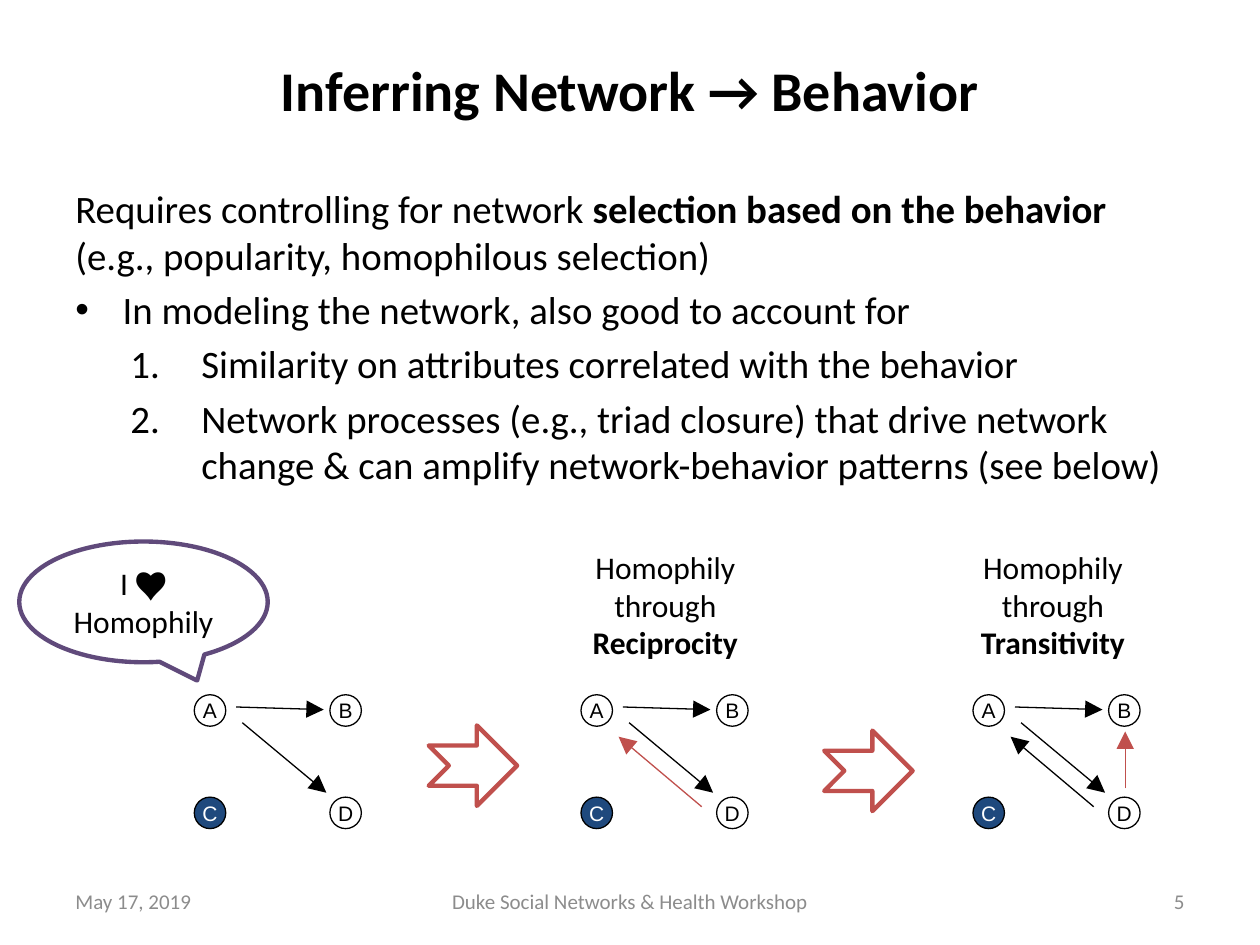
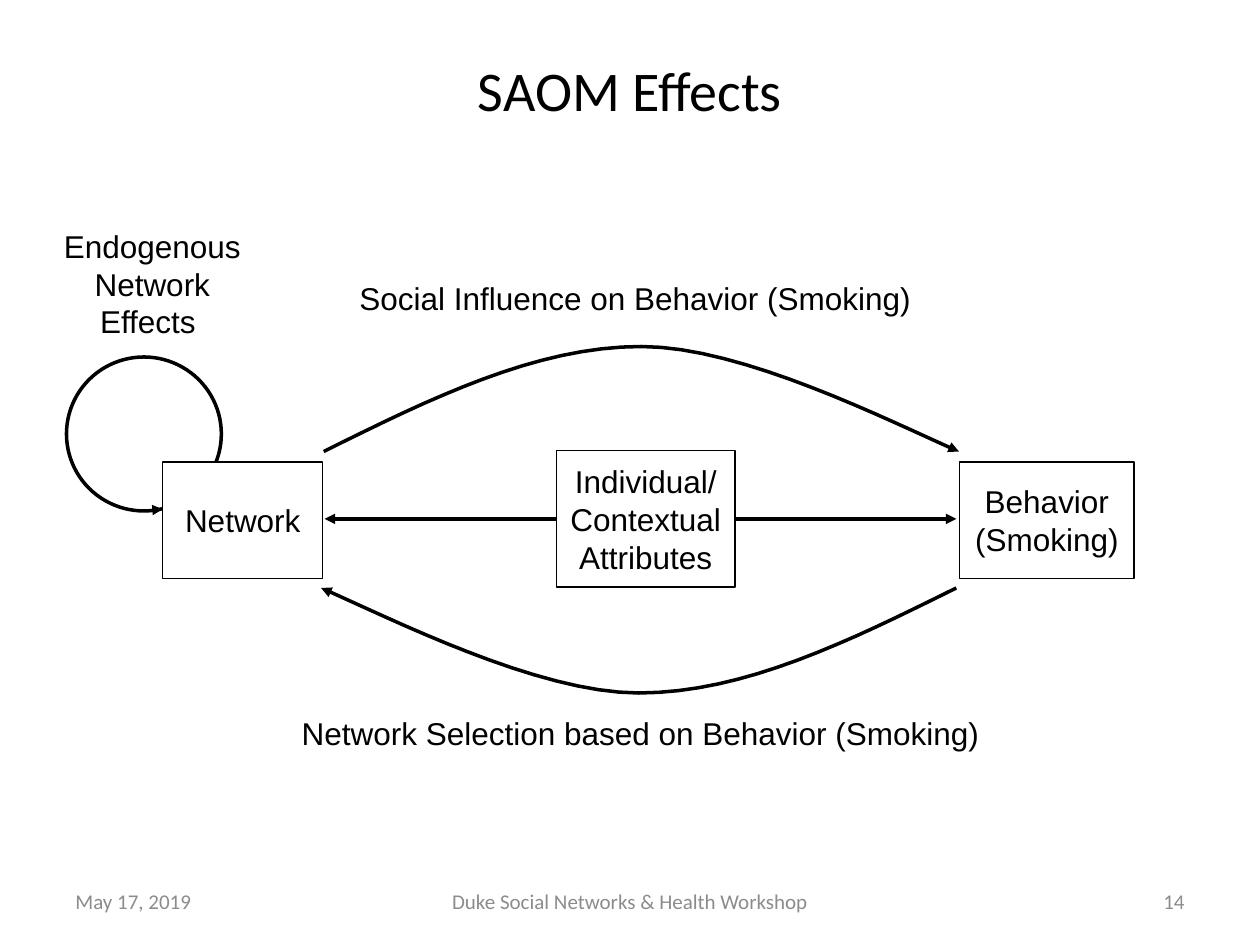
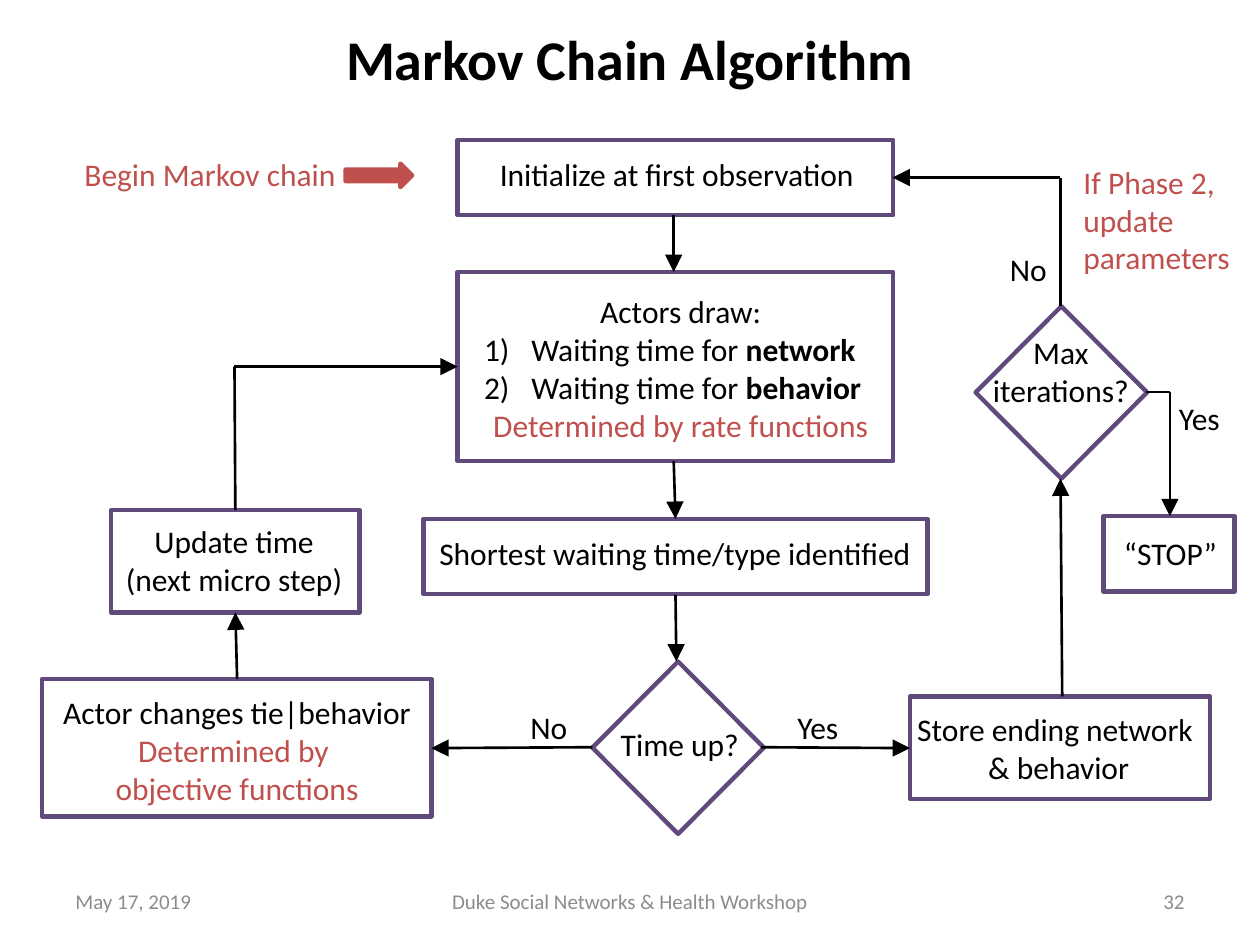
from dataclasses import dataclass

from lxml.etree import SubElement
from pptx import Presentation
from pptx.dml.color import RGBColor
from pptx.enum.shapes import MSO_CONNECTOR, MSO_SHAPE
from pptx.enum.text import MSO_ANCHOR, PP_ALIGN
from pptx.oxml.ns import qn
from pptx.util import Pt

COLORS = {
    "black": "000000",
    "white": "FFFFFF",
    "gray": "8C8C8C",
    "red": "C0504D",
    "purple": "604A7B",
    "navy": "1F497D",
}
LEFT, CENTER, RIGHT = PP_ALIGN.LEFT, PP_ALIGN.CENTER, PP_ALIGN.RIGHT
TITLE_SIZE, LABEL_SIZE, SMALL_SIZE, BODY_SIZE = 32, 18, 12, 22.2
THIN, FLOW, THICK, OUTLINE = 0.75, 1.5, 2, 2.5
DATE = "May 17, 2019"
EVENT = "Duke Social Networks & Health Workshop"


@dataclass
class Box:
    left: float
    top: float
    width: float = 0
    height: float = 0

    def inner(self, left, top, width=0, height=0):
        """Box given relative to this one's top left corner."""
        return Box(self.left + left, self.top + top, width, height)

    def point(self, spot):
        return self.left + spot[0], self.top + spot[1]

    def emu(self):
        return [Pt(n) for n in (self.left, self.top, self.width, self.height)]


@dataclass
class Run:
    text: str
    bold: bool = False
    color: str = ""


@dataclass
class Para:
    runs: list
    align: object = None
    numbering: str = ""
    bullet: str = ""
    margin: float = 0
    hang: float = 0
    level: int = 0
    before: float = 0


def rgb(name):
    return RGBColor.from_string(COLORS[name])


def format_paragraph(paragraph, para, align):
    paragraph.alignment = para.align or align
    paragraph.level = para.level
    if para.before:
        paragraph.space_before = Pt(para.before)
    if para.margin:
        props = paragraph._p.get_or_add_pPr()
        props.set("marL", str(Pt(para.margin)))
        props.set("indent", str(Pt(-para.hang)))
        if para.numbering:
            SubElement(props, qn("a:buFont"), typeface="+mj-lt")
            SubElement(props, qn("a:buAutoNum"), type=para.numbering)
        else:
            SubElement(props, qn("a:buFont"), typeface="Arial")
            SubElement(props, qn("a:buChar"), char=para.bullet)


def write(shape, paras, size=LABEL_SIZE, font="Calibri", color="black",
          align=CENTER, anchor=MSO_ANCHOR.TOP, wrap=True, inset=None):
    """Fill a shape with paragraphs; a plain string is a one-run paragraph."""
    frame = shape.text_frame
    frame.word_wrap = wrap
    frame.vertical_anchor = anchor
    if inset is not None:
        frame.margin_left = frame.margin_right = Pt(inset)
        frame.margin_top = frame.margin_bottom = Pt(inset)
    for number, para in enumerate(paras):
        if isinstance(para, str):
            para = Para([Run(para)])
        paragraph = frame.add_paragraph() if number else frame.paragraphs[0]
        format_paragraph(paragraph, para, align)
        for part in para.runs:
            run = paragraph.add_run()
            run.text = part.text
            run.font.size = Pt(size)
            run.font.name = font
            run.font.bold = part.bold
            run.font.color.rgb = rgb(part.color or color)


def add_text(shapes, box, paras, **style):
    write(shapes.add_textbox(*box.emu()), paras, **style)


def paint(shape, line, width, fill=None):
    shape.shadow.inherit = False
    if fill:
        shape.fill.solid()
        shape.fill.fore_color.rgb = rgb(fill)
    else:
        shape.fill.background()
    shape.line.color.rgb = rgb(line)
    shape.line.width = Pt(width)


def add_outline(shapes, kind, box, line, width, fill=None):
    shape = shapes.add_shape(kind, *box.emu())
    paint(shape, line, width, fill)
    return shape


def add_arrowhead(shape, size):
    SubElement(shape.element.spPr.find(qn("a:ln")), qn("a:tailEnd"),
               type="triangle", w=size, len=size)


def add_link(shapes, start, end, color="black", width=FLOW, head="lg"):
    """Straight line with an arrowhead of the given size at its end, if any."""
    ends = [Pt(n) for n in (*start, *end)]
    link = shapes.add_connector(MSO_CONNECTOR.STRAIGHT, *ends)
    link.line.color.rgb = rgb(color)
    link.line.width = Pt(width)
    if head:
        add_arrowhead(link, head)
    SubElement(link.element.spPr, qn("a:effectLst"))


def add_title(shapes, box, text, bold):
    add_text(shapes, box, [Para([Run(text, bold)])], size=TITLE_SIZE,
             anchor=MSO_ANCHOR.MIDDLE)


def add_footer(shapes, box, number):
    parts = [(0, 168, DATE, LEFT), (210, 228, EVENT, CENTER),
             (480, 168, str(number), RIGHT)]
    for left, width, text, align in parts:
        add_text(shapes, box.inner(left, 0, width, box.height), [text],
                 size=SMALL_SIZE, color="gray", align=align,
                 anchor=MSO_ANCHOR.MIDDLE)


def start_slide(deck, title, title_box, number, bold=True):
    shapes = deck.slides.add_slide(deck.slide_layouts[6]).shapes
    add_title(shapes, title_box, title, bold)
    add_footer(shapes, Box(36, 500.5, 648, 28.5), number)
    return shapes


# Inferring Network → Behavior

def add_requirements(shapes, box):
    gap = BODY_SIZE * 0.2
    numbered = dict(numbering="arabicPeriod", margin=72, hang=40.5,
                    level=1, before=gap)
    add_text(shapes, box, [
        Para([Run("Requires controlling for network "),
              Run("selection based on the behavior", True),
              Run(" (e.g., popularity, homophilous selection)")]),
        Para([Run("In modeling the network, also good to account for")],
             bullet="•", margin=27, hang=27, before=gap),
        Para([Run("Similarity on attributes correlated with the behavior")],
             **numbered),
        Para([Run("Network processes (e.g., triad closure) that drive network "
                  "change & can amplify network-behavior patterns "
                  "(see below)")], **numbered),
    ], size=BODY_SIZE, align=LEFT)


TIES = {
    "AB": ((24, 7), (74, 8.5)),
    "AD": ((27.5, 16), (75.5, 56)),
    "DA": ((69, 64), (21.5, 24)),
    "DB": ((87, 53.5), (87, 21)),
}


def add_network(shapes, box, ties, new_tie):
    """Four actors and their ties, with the newest tie in red."""
    group = shapes.add_group_shape().shapes
    for tie in ties:
        start, end = (box.point(spot) for spot in TIES[tie])
        add_link(group, start, end, "red" if tie == new_tie else "black", THIN)
    for index, actor in enumerate("ABCD"):
        row, column = divmod(index, 2)
        fill, ink = ("navy", "white") if actor == "C" else ("white", "black")
        circle = add_outline(group, MSO_SHAPE.OVAL,
                             box.inner(column * 77.5, row * 58.5, 18, 18),
                             "black", THIN, fill)
        write(circle, [actor], size=SMALL_SIZE, font="Arial", color=ink,
              anchor=MSO_ANCHOR.MIDDLE, wrap=False, inset=0)


def add_homophily_story(shapes, box):
    callout = add_outline(shapes, MSO_SHAPE.OVAL_CALLOUT,
                          box.inner(0, 0, 142, 69), "purple", OUTLINE)
    callout.adjustments[0], callout.adjustments[1] = 0.216, 0.651
    write(callout, ["I ♥️ Homophily"], anchor=MSO_ANCHOR.MIDDLE)
    stages = [(100, ["AB", "AD"], None),
              (321, ["AB", "AD", "DA"], "DA"),
              (545, ["AB", "AD", "DA", "DB"], "DB")]
    for left, ties, new_tie in stages:
        add_network(shapes, box.inner(left, 87.5), ties, new_tie)
    for left, top in [(234, 105), (460, 108)]:
        add_outline(shapes, MSO_SHAPE.NOTCHED_RIGHT_ARROW,
                    box.inner(left, top, 50.5, 46), "red", OUTLINE)
    for left, process in [(319.5, "Reciprocity"), (541, "Transitivity")]:
        add_text(shapes, box.inner(left, 0, 99.5, 72.5),
                 ["Homophily", "through", Para([Run(process, True)])],
                 wrap=False)


# SAOM Effects

def bezier(controls, steps=16):
    """Points along a cubic curve, without its first point."""
    points = []
    for step in range(1, steps + 1):
        t = step / steps
        weights = ((1 - t) ** 3, 3 * t * (1 - t) ** 2,
                   3 * t * t * (1 - t), t ** 3)
        points.append(tuple(sum(w * c[axis] for w, c in zip(weights, controls))
                            for axis in (0, 1)))
    return points


ARC_RISE = [(0, 1), (1 / 6, 0.5), (1 / 3, 0), (0.5, 0)]
ARC_FALL = [(0.5, 0), (0.66, 0), (0.89, 0.71), (1, 1)]


def add_arc(shapes, box, turned=False):
    """Arched arrow across the box; turned runs it backwards underneath."""
    spots = [ARC_RISE[0], *bezier(ARC_RISE), *bezier(ARC_FALL)]
    if turned:
        spots = [(1 - x, 1 - y) for x, y in spots]
    points = [tuple(Pt(n) for n in box.point((x * box.width, y * box.height)))
              for x, y in spots]
    builder = shapes.build_freeform(*points[0])
    builder.add_line_segments(points[1:], close=False)
    arc = builder.convert_to_shape()
    paint(arc, "black", THICK)
    add_arrowhead(arc, "med")


def add_effects(shapes, box):
    loop = shapes.add_group_shape().shapes
    add_outline(loop, MSO_SHAPE.OVAL, box.inner(14, 78, 88.5, 88),
                "black", THICK)
    add_link(loop, box.point((62.5, 165.5)), box.point((69, 165)),
             width=THIN, head="med")
    concepts = [
        ((69, 138, 91.5, 66.5), "white", ["Network"]),
        ((294, 131.5, 102, 78), None, ["Individual/ Contextual", "Attributes"]),
        ((524.5, 138, 99.5, 66.5), "white", ["Behavior", "(Smoking)"]),
    ]
    for place, fill, words in concepts:
        concept = add_outline(shapes, MSO_SHAPE.RECTANGLE, box.inner(*place),
                              "black", THIN, fill)
        write(concept, words, font="Arial", anchor=MSO_ANCHOR.MIDDLE, inset=3.6)
    effects = [
        ((174, 30, 330, 37.5), "Social Influence on Behavior (Smoking)"),
        ((138, 278.5, 408, 27.5),
         "Network Selection based on Behavior (Smoking)"),
        ((0, 0, 126, 84), "Endogenous Network Effects "),
    ]
    for place, words in effects:
        add_text(shapes, box.inner(*place), [words], font="Arial")
    for start, end in [(396, 522.5), (294, 161.5)]:
        add_link(shapes, box.point((start, 170.5)), box.point((end, 170.5)),
                 width=THICK, head="med")
    add_arc(shapes, box.inner(161, 72, 363, 60))
    add_arc(shapes, box.inner(159.5, 210, 363, 60), turned=True)


# Markov Chain Algorithm

def red(text):
    return Para([Run(text, color="red")])


def waiting_time(kind):
    return Para([Run("Waiting time for "), Run(kind, True)], align=LEFT,
                numbering="arabicParenR", margin=27, hang=27)


STEP, DECISION = MSO_SHAPE.RECTANGLE, MSO_SHAPE.DIAMOND
# kind, outline place, text place, text
FLOW_NODES = [
    (STEP, (237.5, 0, 249, 43), (252.5, 5, 220.5, 29),
     ["Initialize at first observation"]),
    (STEP, (237.5, 75.5, 249, 108), (245.5, 83.5, 239, 94.5),
     ["Actors draw:", waiting_time("network"), waiting_time("behavior"),
      red("Determined by rate functions")]),
    (STEP, (218, 216.5, 288, 43), (218, 221.5, 287.5, 29),
     ["Shortest waiting time/type identified"]),
    (DECISION, (314.5, 298, 98, 98.5), (323, 330.5, 83, 29), ["Time up?"]),
    (STEP, (0, 308, 222.5, 78.5), (3.5, 312.5, 216, 72.5),
     ["Actor changes tie|behavior", red("Determined by "),
      red("objective functions")]),
    (STEP, (39.5, 211.5, 142, 58.5), (39.5, 215, 140.5, 51),
     ["Update time", "(next micro step)"]),
    (STEP, (606.5, 215, 75, 43), (610.5, 221.5, 68.5, 29), ["“STOP”"]),
    (DECISION, (533.5, 95, 98, 98.5), (535.5, 107, 93.5, 51),
     ["Max", "iterations?"]),
    (STEP, (496, 318, 171.5, 58.5), (492, 322, 174, 51),
     ["Store ending network", " & behavior"]),
]
FLOW_ROUTES = [
    [(361, 43), (361, 75.5)],
    [(361, 183.5), (362, 216.5)],
    [(362, 260), (362.5, 298)],
    [(314.5, 347), (222.5, 347.5)],
    [(411, 347), (496, 347.5)],
    [(111.5, 308), (110.5, 270)],
    [(110.5, 211.5), (110, 129.5), (237.5, 129.5)],
    [(583, 318), (582, 193.5)],
    [(582, 95), (582, 21.5), (486, 21.5)],
    [(631, 144), (644.5, 144), (644.5, 215)],
]
ANSWERS = [("Yes", 424.5, 321, 39.5), ("No", 272, 321, 36),
           ("No", 546, 59.5, 36), ("Yes", 642.5, 144.5, 39.5)]


def add_algorithm(shapes, box):
    for kind, outline, label, words in FLOW_NODES:
        add_outline(shapes, kind, box.inner(*outline), "purple", OUTLINE)
        has_list = any(isinstance(w, Para) and w.numbering for w in words)
        add_text(shapes, box.inner(*label), words, wrap=has_list)
    for route in FLOW_ROUTES:
        for start, end in zip(route, route[1:]):
            add_link(shapes, box.point(start), box.point(end),
                     head="lg" if end == route[-1] else None)
    for answer, left, top, width in ANSWERS:
        add_text(shapes, box.inner(left, top, width, 29), [answer],
                 align=LEFT, wrap=False)
    add_text(shapes, box.inner(15, 5, 160, 29), ["Begin Markov chain"],
             color="red", align=RIGHT, wrap=False)
    add_outline(shapes, MSO_SHAPE.RIGHT_ARROW,
                box.inner(173.5, 13.5, 38, 13.5), "red", OUTLINE, "red")
    add_text(shapes, box.inner(588, 9.5, 101, 72.5),
             ["If Phase 2,", "update", "parameters"], color="red", align=LEFT)


def main():
    deck = Presentation()
    deck.slide_width, deck.slide_height = Pt(720), Pt(540)
    title_box = Box(36, 6, 648, 90)

    shapes = start_slide(deck, "Inferring Network → Behavior", title_box, 5)
    add_requirements(shapes, Box(36, 102, 648, 204.5))
    add_homophily_story(shapes, Box(11, 309.5, 643, 164))

    shapes = start_slide(deck, "SAOM Effects", title_box, 14, bold=False)
    add_effects(shapes, Box(24, 126, 624, 306))

    shapes = start_slide(deck, "Markov Chain Algorithm",
                         Box(36, 1, 648, 64), 32)
    add_algorithm(shapes, Box(24, 80, 690, 397))

    deck.save("out.pptx")


if __name__ == "__main__":
    main()
